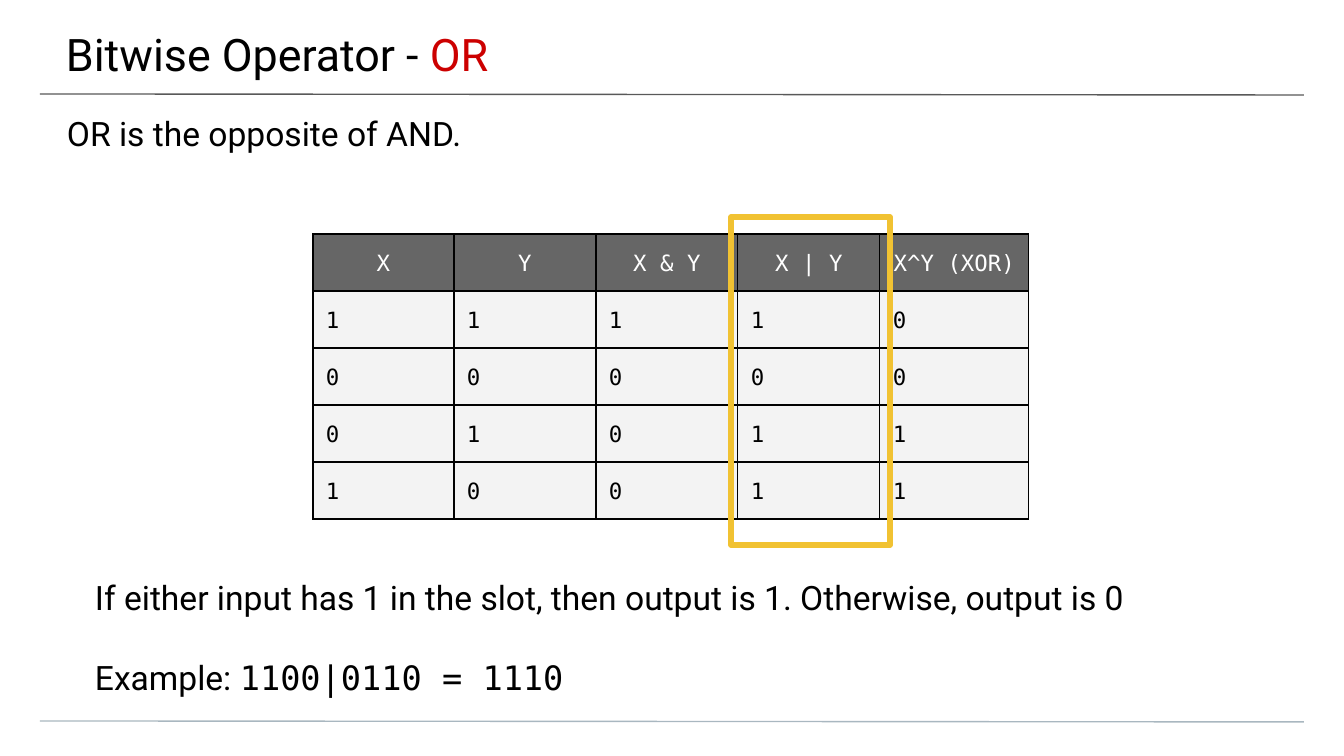
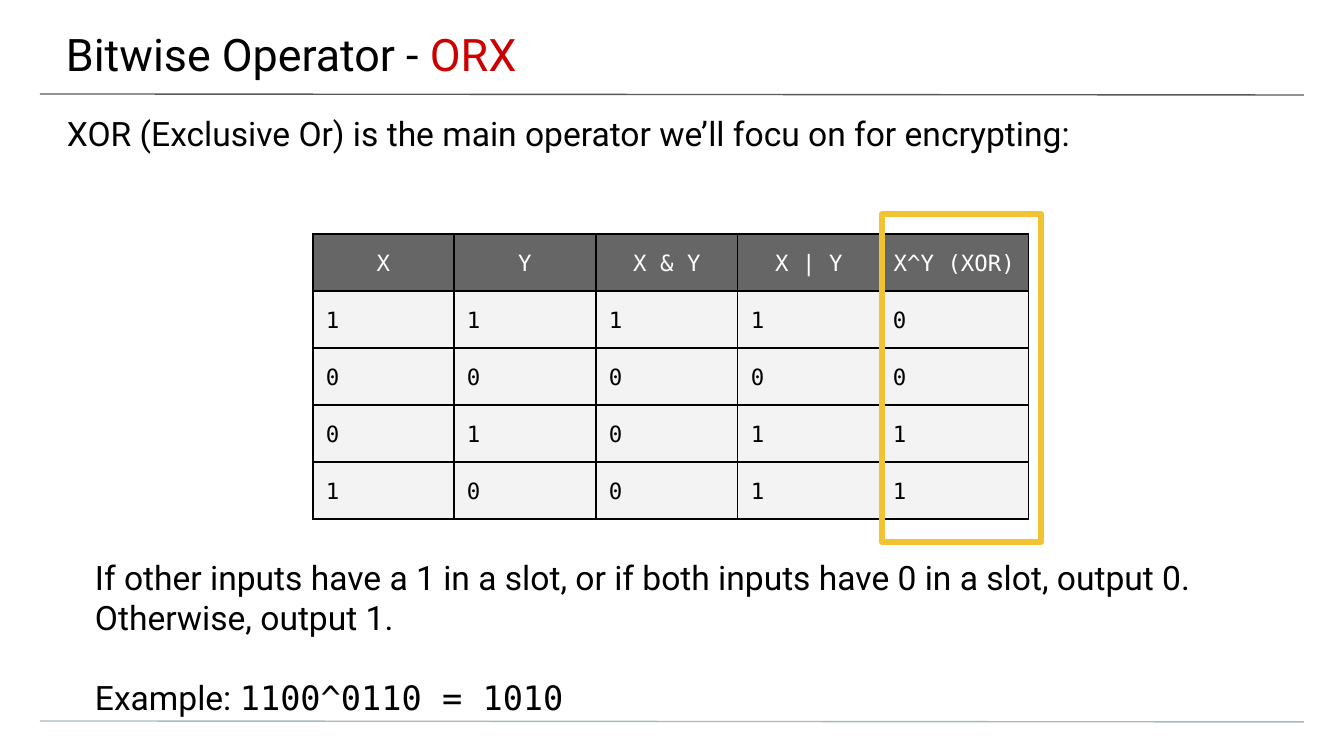
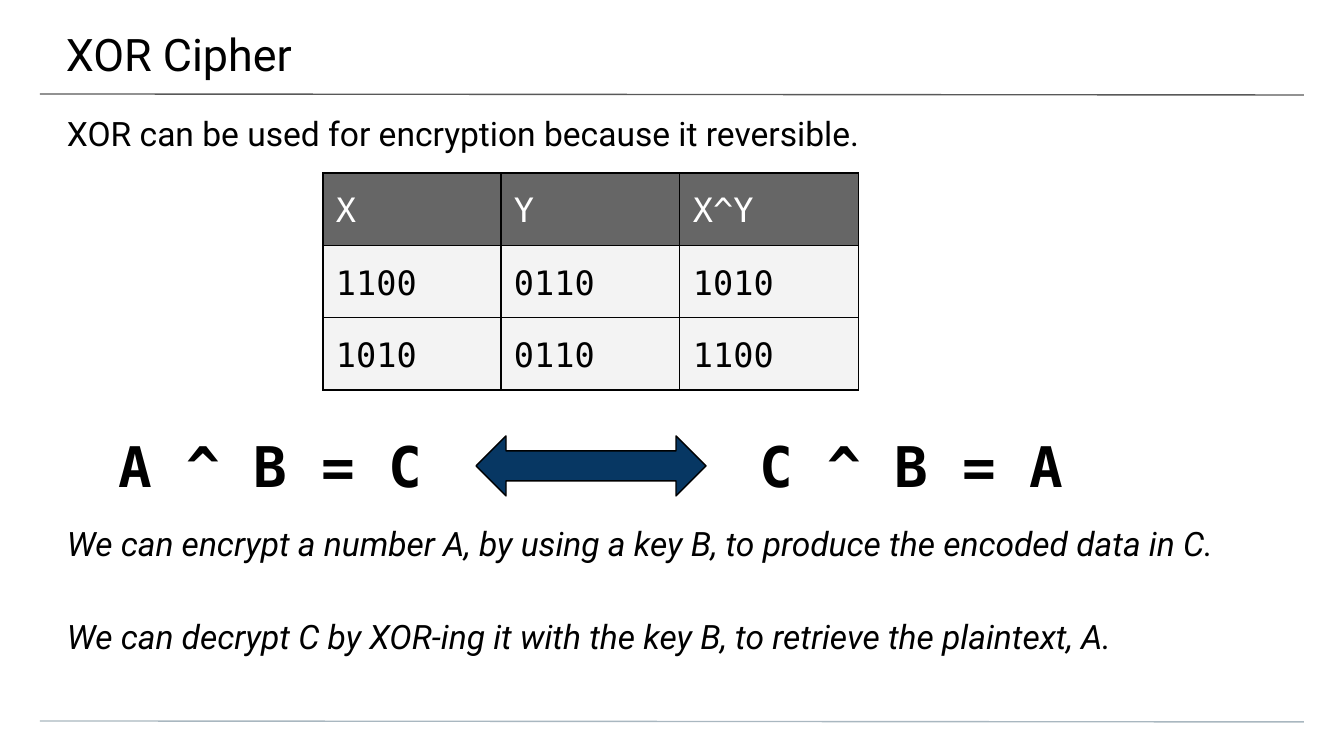
from lxml.etree import SubElement
from pptx import Presentation
from pptx.dml.color import RGBColor
from pptx.enum.shapes import MSO_CONNECTOR, MSO_SHAPE
from pptx.enum.text import MSO_ANCHOR, PP_ALIGN
from pptx.oxml.ns import qn
from pptx.util import Emu, Pt

BLACK = RGBColor(0x00, 0x00, 0x00)
WHITE = RGBColor(0xFF, 0xFF, 0xFF)
RED = RGBColor(0xCC, 0x00, 0x00)
DARK_GRAY = RGBColor(0x66, 0x66, 0x66)
LIGHT_GRAY = RGBColor(0xF3, 0xF3, 0xF3)
TITLE_RULE = RGBColor(0x59, 0x59, 0x59)
FOOTER_RULE = RGBColor(0xA9, 0xB7, 0xC0)
GOLD = RGBColor(0xF1, 0xC2, 0x32)
NAVY = RGBColor(0x07, 0x37, 0x63)

SANS, MONO = "Roboto", "DejaVu Sans Mono"
WIDTH, HEIGHT = 1344, 756
PAD = 13  # default text inset

# Content: a paragraph is a string or a list of (text, font overrides)
TRUTH_TABLE = [
    ["X", "Y", "X & Y", "X | Y", "X^Y (XOR)"],
    ["1", "1", "1", "1", "0"],
    ["0", "0", "0", "0", "0"],
    ["0", "1", "0", "1", "1"],
    ["1", "0", "0", "1", "1"],
]
OPERATORS = [
    dict(
        name="OR",
        intro="OR is the opposite of AND.",
        highlight=(731, 217),
        rule=["If either input has 1 in the slot, then output is 1. Otherwise, output is 0"],
        example="1100|0110 = 1110",
        rule_top=564,
    ),
    dict(
        name="ORX",
        intro="XOR (Exclusive Or) is the main operator we’ll focu on for encrypting:",
        highlight=(882, 214),
        rule=["If other inputs have a 1 in a slot, or if both inputs have 0 in a slot, output 0.",
              "Otherwise, output 1."],
        example="1100^0110 = 1010",
        rule_top=544,
    ),
]
CIPHER_TABLE = [["X", "Y", "X^Y"], ["1100", "0110", "1010"], ["1010", "0110", "1100"]]
FORMULAS = ["A ^ B = C", "C ^ B = A"]
CIPHER_STEPS = [
    "We can encrypt a number A, by using a key B, to produce the encoded data in C.",
    "We can decrypt C by XOR-ing it with the key B, to retrieve the plaintext, A.",
]


def px(n):
    return Emu(round(n * 914400 / 134.4))


def write(tf, paragraphs, size=18, font=SANS, color=BLACK, bold=False, italic=False,
          align=None, spacing=None, last_gap=0, tab=None):
    """Fill a text frame; last_gap is the space in points before the last paragraph."""
    for i, runs in enumerate(paragraphs):
        p = tf.add_paragraph() if i else tf.paragraphs[0]
        if tab:
            stops = SubElement(p._p.get_or_add_pPr(), qn("a:tabLst"))
            SubElement(stops, qn("a:tab"), pos=str(px(tab)), algn="l")
        if align is not None:
            p.alignment = align
        if spacing:
            p.line_spacing = spacing
        if last_gap and i == len(paragraphs) - 1:
            p.space_before = Pt(last_gap)
        for text, own in [(runs, {})] if isinstance(runs, str) else runs:
            r = p.add_run()
            r.text = text
            r.font.size, r.font.bold, r.font.italic = Pt(size), bold, italic
            r.font.name = own.get("font", font)
            r.font.color.rgb = own.get("color", color)


def add_text(s, box, paragraphs, insets=(PAD,) * 4, anchor=MSO_ANCHOR.TOP, **fmt):
    tf = s.shapes.add_textbox(*map(px, box)).text_frame
    tf.word_wrap = True
    tf.vertical_anchor = anchor
    tf.margin_left, tf.margin_top, tf.margin_right, tf.margin_bottom = map(px, insets)
    write(tf, paragraphs, **fmt)


def add_rule(s, y, color):
    line = s.shapes.add_connector(MSO_CONNECTOR.STRAIGHT, px(40), px(y), px(1304), px(y + 1))
    line.line.color.rgb = color
    line.line.width = Pt(0.75)
    SubElement(line._element.spPr, qn("a:effectLst"))


def add_shape(s, kind, box, line, width, fill=None):
    sp = s.shapes.add_shape(kind, *map(px, box))
    sp.shadow.inherit = False
    sp.line.color.rgb = line
    sp.line.width = Pt(width)
    if fill is None:
        sp.fill.background()
    else:
        sp.fill.solid()
        sp.fill.fore_color.rgb = fill


def add_borders(cell):
    for side in ("lnL", "lnR", "lnT", "lnB"):
        ln = SubElement(cell._tc.get_or_add_tcPr(), qn("a:" + side), w=str(Pt(0.75)))
        SubElement(SubElement(ln, qn("a:solidFill")), qn("a:srgbClr"), val=str(BLACK))


def add_grid(s, left, top, widths, row_height, rows, size, header_align=None):
    table = s.shapes.add_table(len(rows), len(widths), px(left), px(top),
                               px(sum(widths)), px(row_height * len(rows))).table
    for column, width in zip(table.columns, widths):
        column.width = px(width)
    for i, values in enumerate(rows):
        table.rows[i].height = px(row_height)
        header = i == 0
        for j, value in enumerate(values):
            cell = table.cell(i, j)
            cell.margin_left = cell.margin_right = px(PAD)
            cell.margin_top = cell.margin_bottom = px(PAD)
            add_borders(cell)
            cell.fill.solid()
            cell.fill.fore_color.rgb = DARK_GRAY if header else LIGHT_GRAY
            write(cell.text_frame, [value], size=size, font=MONO, spacing=1.15,
                  color=WHITE if header else BLACK, align=header_align if header else None)


def add_slide(prs, title, intro):
    """Start a slide with the shared rules, title and introduction."""
    s = prs.slides.add_slide(prs.slide_layouts[6])
    add_rule(s, 94, TITLE_RULE)
    add_rule(s, 721, FOOTER_RULE)
    add_text(s, (-1, 0, 1348, 78), [title], insets=(67, 27, 40, 13), size=24)
    add_text(s, (0, 100, WIDTH, 54), [intro], insets=(67, 13, 67, 0))
    return s


def add_operator_slide(prs, op):
    s = add_slide(prs, [("Bitwise Operator - ", {}), (op["name"], {"color": RED})], op["intro"])
    add_grid(s, 313, 234, [141, 142, 142, 142, 149], 57, TRUTH_TABLE, 12, PP_ALIGN.CENTER)
    add_shape(s, MSO_SHAPE.RECTANGLE, (*op["highlight"], 159, 328), GOLD, 3)
    example = [("Example: ", {}), (op["example"], {"font": MONO})]
    add_text(s, (82, op["rule_top"], 1228, 138), op["rule"] + [example], last_gap=21)


def add_cipher_slide(prs):
    s = add_slide(prs, "XOR Cipher", "XOR can be used for encryption because it reversible.")
    add_text(s, (0, 517, WIDTH, 152), CIPHER_STEPS, insets=(67, 0, 67, 0),
             italic=True, spacing=1.15, last_gap=25)
    add_grid(s, 323, 173, [178, 179, 179], 72, CIPHER_TABLE, 18)
    # The two formulas share a line, with the arrow in the tab gap
    add_text(s, (106, 414, 995, 103), ["\t".join(FORMULAS)], anchor=MSO_ANCHOR.MIDDLE,
             size=30, font=MONO, bold=True, tab=641)
    add_shape(s, MSO_SHAPE.LEFT_RIGHT_ARROW, (476, 436, 230, 60), BLACK, 0.75, NAVY)


def main():
    prs = Presentation()
    prs.slide_width, prs.slide_height = px(WIDTH), px(HEIGHT)
    for op in OPERATORS:
        add_operator_slide(prs, op)
    add_cipher_slide(prs)
    prs.save("out.pptx")


if __name__ == "__main__":
    main()
